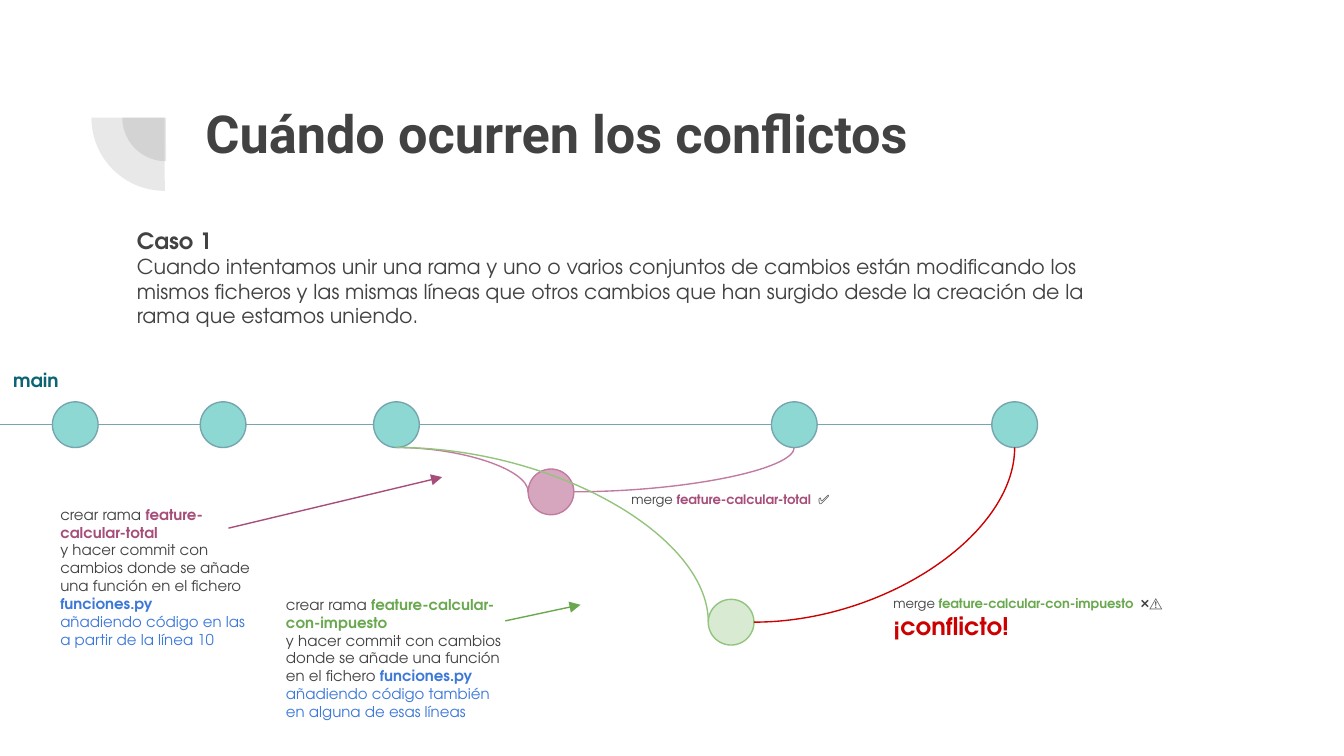
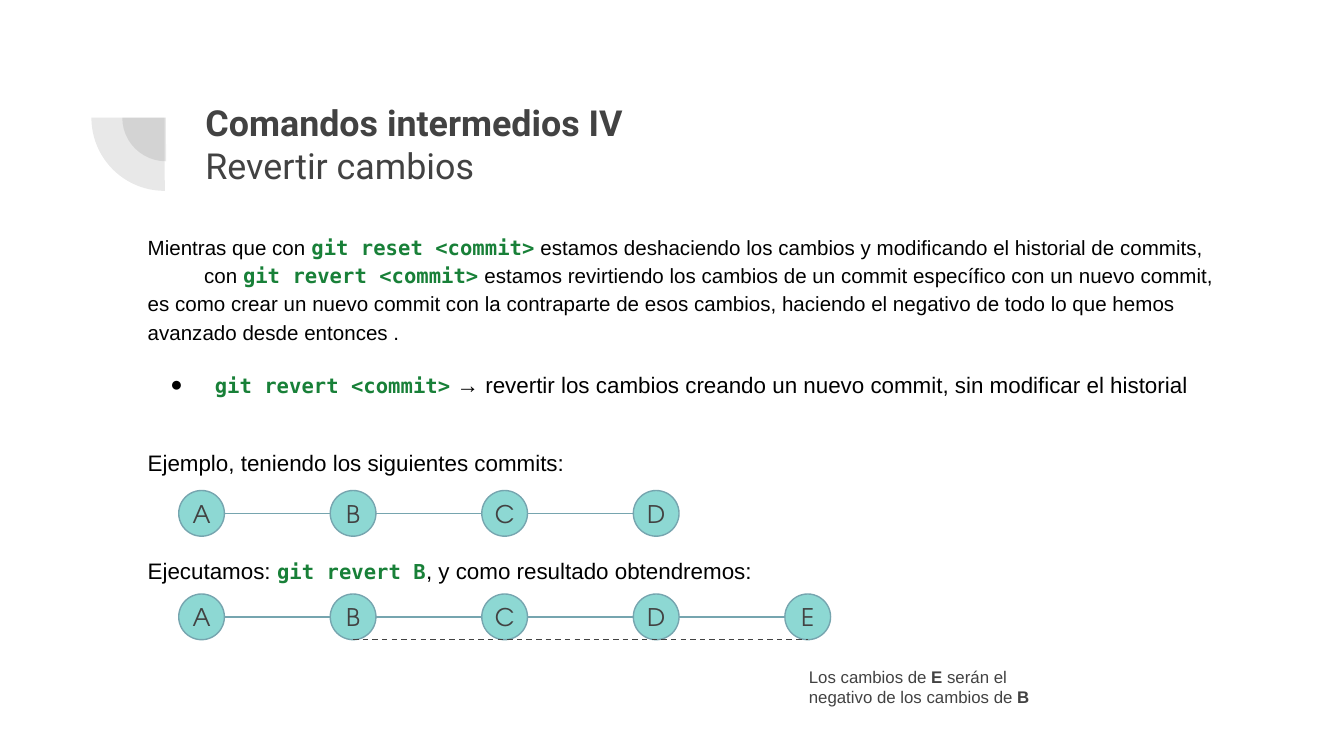
from dataclasses import dataclass, field

from lxml import etree
from pptx import Presentation
from pptx.dml.color import RGBColor
from pptx.enum.dml import MSO_LINE
from pptx.enum.shapes import MSO_CONNECTOR, MSO_SHAPE
from pptx.enum.text import MSO_ANCHOR, MSO_AUTO_SIZE, PP_ALIGN
from pptx.oxml.ns import qn
from pptx.util import Inches, Pt

ELLIPSE = MSO_SHAPE.OVAL
PIE = MSO_SHAPE.PIE
STRAIGHT = MSO_CONNECTOR.STRAIGHT
CURVE = MSO_CONNECTOR.CURVE
DASH = MSO_LINE.DASH
MIDDLE = MSO_ANCHOR.MIDDLE
GROW = MSO_AUTO_SIZE.SHAPE_TO_FIT_TEXT
CENTER = PP_ALIGN.CENTER


@dataclass(frozen=True)
class Theme:
    text: str = "424242"
    black: str = "000000"
    main: str = "0B6374"
    commit: str = "8DD8D3"
    commit_line: str = "76A5AF"
    total: str = "A64D79"
    total_fill: str = "D5A6BD"
    total_line: str = "C27BA0"
    tax: str = "6AA84F"
    tax_fill: str = "D9EAD3"
    tax_line: str = "93C47D"
    file: str = "3C78D8"
    conflict: str = "CC0000"
    code: str = "188038"
    title_font: str = "Roboto"
    diagram_font: str = "TeX Gyre Adventor"
    body_font: str = "Arial"
    code_font: str = "DejaVu Sans Mono"
    title_size: float = 28
    subtitle_size: float = 19.2
    letter_size: float = 13
    example_size: float = 12
    body_size: float = 11
    main_size: float = 10
    caption_size: float = 9
    note_size: float = 8
    merge_size: float = 7
    line_width: float = 0.75


THEME = Theme()
DIAMETER = 0.34
RADIUS = DIAMETER / 2


@dataclass
class Run:
    text: str
    size: float
    color: str = THEME.text
    bold: bool = False
    font: str = THEME.diagram_font


@dataclass
class Block:
    runs: list = field(default_factory=list)
    before: float = 0
    spacing: float = 1.0
    margin: float = 0
    indent: float = 0
    bullet: str = ""


def rgb(color):
    return RGBColor.from_string(color)


def add_run(paragraph, item):
    run = paragraph.add_run()
    run.text = item.text
    run.font.name = item.font
    run.font.size = Pt(item.size)
    run.font.bold = item.bold
    run.font.color.rgb = rgb(item.color)


def format_paragraph(paragraph, block):
    paragraph.space_before = Pt(block.before)
    paragraph.line_spacing = block.spacing
    properties = paragraph._p.get_or_add_pPr()
    properties.set("marL", str(Inches(block.margin)))
    properties.set("indent", str(Inches(block.indent)))
    if block.bullet:
        color = etree.SubElement(properties, qn("a:buClr"))
        etree.SubElement(color, qn("a:srgbClr"), val=THEME.black)
        etree.SubElement(properties, qn("a:buFont"), typeface=THEME.body_font)
        etree.SubElement(properties, qn("a:buChar"), char=block.bullet)


def add_text(slide, left, top, width, height, blocks, grow=False):
    box = slide.shapes.add_textbox(Inches(left), Inches(top), Inches(width), Inches(height))
    frame = box.text_frame
    frame.word_wrap = True
    if grow:
        frame.auto_size = GROW
    frame.margin_left = frame.margin_right = Inches(0.1)
    frame.margin_top = frame.margin_bottom = Inches(0.1)
    for index, block in enumerate(blocks):
        paragraph = frame.add_paragraph() if index else frame.paragraphs[0]
        format_paragraph(paragraph, block)
        for item in block.runs:
            add_run(paragraph, item)


def add_commit(slide, left, top, fill=THEME.commit, line=THEME.commit_line, letter=""):
    shape = slide.shapes.add_shape(
        ELLIPSE, Inches(left), Inches(top), Inches(DIAMETER), Inches(DIAMETER))
    shape.shadow.inherit = False
    shape.fill.solid()
    shape.fill.fore_color.rgb = rgb(fill)
    shape.line.color.rgb = rgb(line)
    shape.line.width = Pt(THEME.line_width)
    if letter:
        frame = shape.text_frame
        frame.word_wrap = False
        frame.vertical_anchor = MIDDLE
        frame.margin_left = frame.margin_right = 0
        frame.margin_top = frame.margin_bottom = 0
        frame.paragraphs[0].alignment = CENTER
        add_run(frame.paragraphs[0], Run(letter, THEME.letter_size))


def add_line(slide, start, end, color, kind=STRAIGHT, arrow=False, dashed=False):
    points = [Inches(value) for value in (*start, *end)]
    connector = slide.shapes.add_connector(kind, *points)
    connector.line.color.rgb = rgb(color)
    connector.line.width = Pt(THEME.line_width)
    if dashed:
        connector.line.dash_style = DASH
    properties = connector._element.spPr
    if kind == CURVE:
        properties.find(qn("a:prstGeom")).set("prst", "curvedConnector2")
    if arrow:
        etree.SubElement(properties.find(qn("a:ln")), qn("a:tailEnd"), type="triangle")
    etree.SubElement(properties, qn("a:effectLst"))


def add_corner_mark(slide):
    group = slide.shapes.add_group_shape()
    for left, top, size in ((0.91, 0.55, 0.65), (0.68, 0.33, 1.09)):
        pie = group.shapes.add_shape(
            PIE, Inches(left), Inches(top), Inches(size), Inches(size))
        pie.adjustments[0] = 107.93
        pie.adjustments[1] = 162
        pie.rotation = 270
        pie.shadow.inherit = False
        pie.fill.solid()
        pie.fill.fore_color.rgb = rgb(THEME.text)
        color = pie._element.spPr.find(qn("a:solidFill"))[0]
        etree.SubElement(color, qn("a:alpha"), val="12000")
        pie.line.fill.background()


def add_titled_slide(presentation, title_lines, size):
    slide = presentation.slides.add_slide(presentation.slide_layouts[6])
    add_corner_mark(slide)
    add_text(slide, 1.43, 0.65, 7.69, 1.09, [
        Block([Run(line, size, bold=index == 0, font=THEME.title_font)])
        for index, line in enumerate(title_lines)])
    return slide


def add_history(slide, lefts, top, letters=""):
    middle = top + RADIUS
    for left, following in zip(lefts, lefts[1:]):
        add_line(slide, (left + DIAMETER, middle), (following, middle), THEME.commit_line)
    for index, left in enumerate(lefts):
        add_commit(slide, left, top, letter=letters[index:index + 1])


def add_branch_note(slide, left, top, width, branch, color, ending):
    size = THEME.note_size
    add_text(slide, left, top, width, 1.32, [
        Block([Run("crear rama ", size), Run(branch, size, color, True)]),
        Block([
            Run("y hacer commit con cambios donde se añade una función en el fichero ", size),
            Run("funciones.py", size, THEME.file, True)]),
        Block([Run(ending, size, THEME.file)])])


def merge_block(branch, color, symbols):
    size = THEME.merge_size
    return Block([Run("merge ", size), Run(branch + " ", size, color, True),
                  Run(" " + symbols, size)])


def build_conflict_slide(presentation):
    slide = add_titled_slide(presentation, ["Cuándo ocurren los conflictos"], THEME.title_size)
    add_text(slide, 0.92, 1.59, 7.51, 1.32, [
        Block([Run("Caso 1", THEME.example_size, bold=True)]),
        Block([Run(
            "Cuando intentamos unir una rama y uno o varios conjuntos de cambios están "
            "modificando los mismos ficheros y las mismas líneas que otros cambios que han "
            "surgido desde la creación de la rama que estamos uniendo.", THEME.body_size)])])

    top = 2.99
    bottom = top + DIAMETER
    lefts = [0.39, 1.49, 2.78, 5.74, 7.38]
    add_line(slide, (-0.61, top + RADIUS), (lefts[0], top + RADIUS), THEME.commit_line)
    add_history(slide, lefts, top)
    fork, total_merge, tax_merge = [(left + RADIUS, bottom) for left in lefts[2:]]

    branches = (
        (3.93, 3.49, THEME.total_fill, THEME.total_line, total_merge, THEME.total_line),
        (5.27, 4.46, THEME.tax_fill, THEME.tax_line, tax_merge, THEME.conflict))
    for left, branch_top, fill, line, merge, merge_color in branches:
        middle = branch_top + RADIUS
        add_commit(slide, left, branch_top, fill, line)
        add_line(slide, fork, (left, middle), line, CURVE)
        add_line(slide, (left + DIAMETER, middle), merge, merge_color, CURVE)

    total_branch = "feature-calcular-total"
    tax_branch = "feature-calcular-con-impuesto"
    add_text(slide, 0, 2.66, 0.99, 0.37, [
        Block([Run("main", THEME.main_size, THEME.main, True)])], grow=True)
    add_branch_note(slide, 0.35, 3.66, 1.68, total_branch, THEME.total,
                    "añadiendo código en las a partir de la línea 10")
    add_branch_note(slide, 2.03, 4.33, 1.83, tax_branch, THEME.tax,
                    "añadiendo código también en alguna de esas líneas")
    add_line(slide, (1.7, 3.93), (3.29, 3.55), THEME.total, arrow=True)
    add_line(slide, (3.76, 4.62), (4.32, 4.5), THEME.tax, arrow=True)
    add_text(slide, 4.6, 3.6, 1.68, 0.34,
             [merge_block(total_branch, THEME.total, "✅")], grow=True)
    add_text(slide, 6.55, 4.33, 3.2, 0.75, [
        merge_block(tax_branch, THEME.tax, "❌⚠️"),
        Block([Run("¡conflicto!", THEME.letter_size, THEME.conflict, True)])])


def plain(text, size=THEME.body_size):
    return Run(text, size, THEME.black, font=THEME.body_font)


def code(text):
    return Run(text, THEME.body_size, THEME.code, True, THEME.code_font)


def caption(text, bold=False):
    return Run(text, THEME.caption_size, bold=bold, font=THEME.body_font)


def build_revert_slide(presentation):
    slide = add_titled_slide(
        presentation, ["Comandos intermedios IV", "Revertir cambios"], THEME.subtitle_size)
    large = THEME.example_size
    add_text(slide, 1, 1.62, 8.25, 3.65, [
        Block([
            plain("Mientras que con "), code("git reset <commit>"),
            plain(" estamos deshaciendo los cambios y modificando el historial de commits,")],
            before=12, spacing=1.15),
        Block([
            plain("con "), code("git revert <commit>"),
            plain(" estamos revirtiendo los cambios de un commit específico con un nuevo "
                  "commit, es como crear un nuevo commit con la contraparte de esos cambios, "
                  "haciendo el negativo de todo lo que hemos avanzado desde entonces .")],
            spacing=1.15, indent=0.42),
        Block([
            code("git revert <commit>"),
            plain(" → revertir los cambios creando un nuevo commit, sin modificar el historial",
                  large)],
            before=12, spacing=1.15, margin=0.5, indent=-0.33, bullet="●"),
        Block([plain("Ejemplo, teniendo los siguientes commits:", large)],
              before=25.5, spacing=1.15),
        Block([
            plain("Ejecutamos: ", large), code("git revert B"),
            plain(", y como resultado obtendremos:", large)],
            before=41, spacing=1.15)])

    first, last = 1.33, 5.84
    lefts = [first + (last - first) / 4 * index for index in range(5)]
    result_top = 4.42
    add_history(slide, lefts[:4], 3.65, "ABCD")
    add_history(slide, lefts, result_top, "ABCDE")
    bottom = result_top + DIAMETER
    add_line(slide, (lefts[1] + RADIUS, bottom), (lefts[4] + RADIUS, bottom),
             THEME.text, CURVE, dashed=True)
    add_text(slide, 5.92, 4.86, 2.12, 0.55, [Block([
        caption("Los cambios de"), caption(" E", True),
        caption(" serán el negativo de los cambios de "), caption("B", True)])])


def main():
    presentation = Presentation()
    presentation.slide_width = Inches(10)
    presentation.slide_height = Inches(10) * 9 // 16
    build_conflict_slide(presentation)
    build_revert_slide(presentation)
    presentation.save("out.pptx")


if __name__ == "__main__":
    main()
